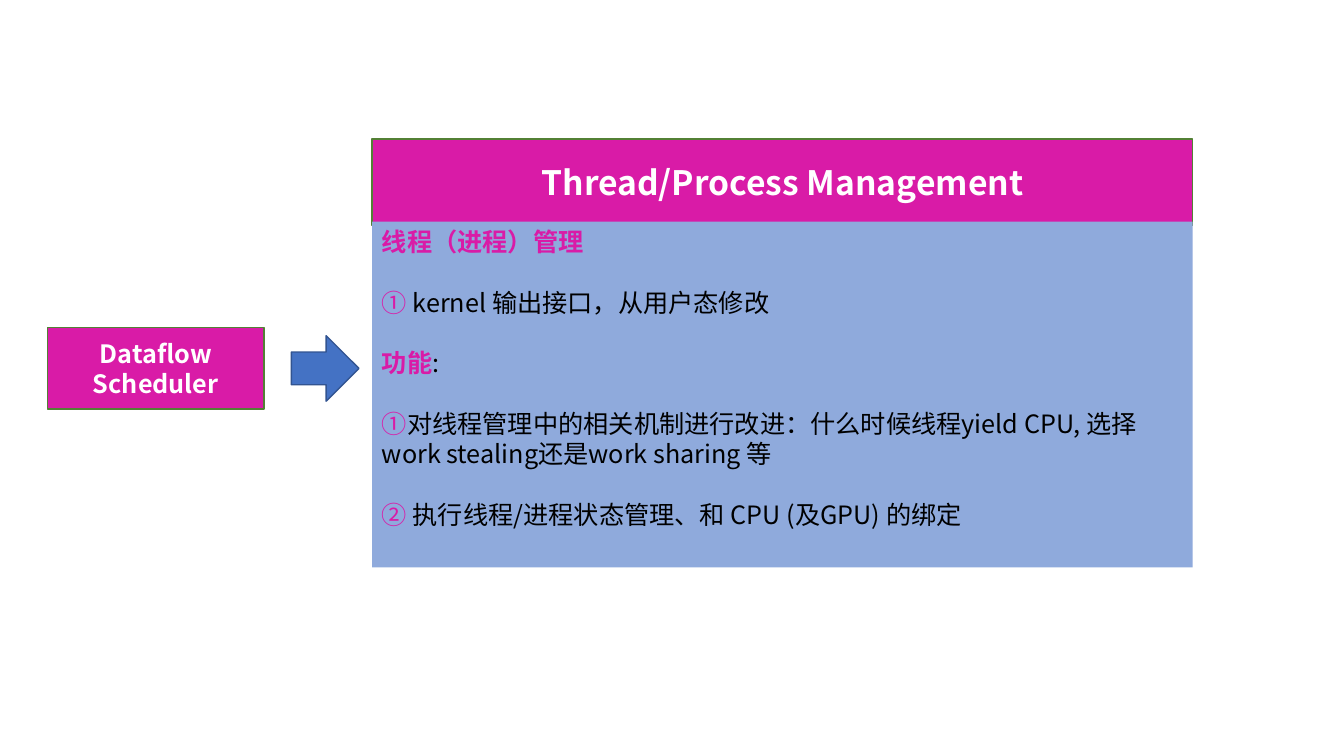
"""Build the slide on thread and process management for the dataflow scheduler."""
from dataclasses import dataclass

from lxml import etree
from pptx import Presentation
from pptx.dml.color import RGBColor
from pptx.enum.shapes import MSO_SHAPE
from pptx.enum.text import MSO_ANCHOR, PP_ALIGN
from pptx.oxml.ns import qn
from pptx.util import Inches, Pt

RECTANGLE, RIGHT_ARROW = MSO_SHAPE.RECTANGLE, MSO_SHAPE.RIGHT_ARROW
TOP, MIDDLE = MSO_ANCHOR.TOP, MSO_ANCHOR.MIDDLE
LEFT, CENTER = PP_ALIGN.LEFT, PP_ALIGN.CENTER


@dataclass(frozen=True)
class Theme:
    """Colours, type and sizes of the slide."""
    font: str = "Noto Sans CJK SC"
    accent: str = "D91BA7"
    accent_line: str = "538035"
    panel: str = "8FAADC"
    arrow: str = "4472C4"
    arrow_line: str = "325491"
    light: str = "FFFFFF"
    dark: str = "000000"
    title_size: int = 24
    body_size: int = 18
    paragraph_gap: float = 21.6


THEME = Theme()
HEADING = (THEME.accent, True)
MARKER = (THEME.accent, False)
BODY = (THEME.dark, False)
LABEL = (THEME.light, True)

TITLE = [[("Thread/Process Management", LABEL)]]
SCHEDULER = [[("Dataflow Scheduler", LABEL)]]
DETAILS = [
    [("线程（进程）管理", HEADING)],
    [("① ", MARKER), ("kernel 输出接口，从用户态修改", BODY)],
    [("功能", HEADING), (":", BODY)],
    [("①", MARKER),
     ("对线程管理中的相关机制进行改进：什么时候线程yield CPU, "
      "选择work stealing还是work sharing 等", BODY)],
    [("② ", MARKER), ("执行线程/进程状态管理、和 CPU (及GPU) 的绑定", BODY)],
]

SLIDE_WIDTH, SLIDE_HEIGHT = 13.33, 7.5
PANEL_LEFT, PANEL_WIDTH = 3.69, 8.14
FLOW_MIDDLE = 3.655
SCHEDULER_HEIGHT, ARROW_HEIGHT = 0.81, 0.65


def add_block(page, kind, place, fill, line=None):
    """Add a filled shape, outlined when a line colour is given."""
    box = page.shapes.add_shape(kind, *map(Inches, place))
    box.shadow.inherit = False
    box.fill.solid()
    box.fill.fore_color.rgb = RGBColor.from_string(fill)
    if line:
        box.line.color.rgb = RGBColor.from_string(line)
        box.line.width = Pt(1)
    else:
        box.line.fill.background()
    return box


def write(box, paragraphs, size, align=CENTER, anchor=MIDDLE):
    """Fill a shape with paragraphs of styled spans."""
    frame = box.text_frame
    frame.word_wrap = True
    frame.vertical_anchor = anchor
    for index, spans in enumerate(paragraphs):
        para = frame.add_paragraph() if index else frame.paragraphs[0]
        para.alignment = align
        if index:
            para.space_before = Pt(THEME.paragraph_gap)
        for text, (color, bold) in spans:
            span = para.add_run()
            span.text = text
            span.font.name = THEME.font
            span.font.size = Pt(size)
            span.font.bold = bold
            span.font.color.rgb = RGBColor.from_string(color)
            east_asian = etree.SubElement(span.font._element, qn("a:ea"))
            east_asian.set("typeface", THEME.font)


def main():
    """Lay out the slide and save it."""
    deck = Presentation()
    deck.slide_width, deck.slide_height = Inches(SLIDE_WIDTH), Inches(SLIDE_HEIGHT)
    page = deck.slides.add_slide(deck.slide_layouts[6])

    header = add_block(page, RECTANGLE, (PANEL_LEFT, 1.38, PANEL_WIDTH, 0.86),
                       THEME.accent, THEME.accent_line)
    write(header, TITLE, THEME.title_size)

    panel = add_block(page, RECTANGLE, (PANEL_LEFT, 2.2, PANEL_WIDTH, 3.43), THEME.panel)
    write(panel, DETAILS, THEME.body_size, LEFT, TOP)

    scheduler_top = FLOW_MIDDLE - SCHEDULER_HEIGHT / 2
    scheduler = add_block(page, RECTANGLE, (0.47, scheduler_top, 2.15, SCHEDULER_HEIGHT),
                          THEME.accent, THEME.accent_line)
    write(scheduler, SCHEDULER, THEME.body_size)

    arrow_top = FLOW_MIDDLE - ARROW_HEIGHT / 2
    add_block(page, RIGHT_ARROW, (2.89, arrow_top, 0.67, ARROW_HEIGHT),
              THEME.arrow, THEME.arrow_line)

    deck.save("out.pptx")


if __name__ == "__main__":
    main()
